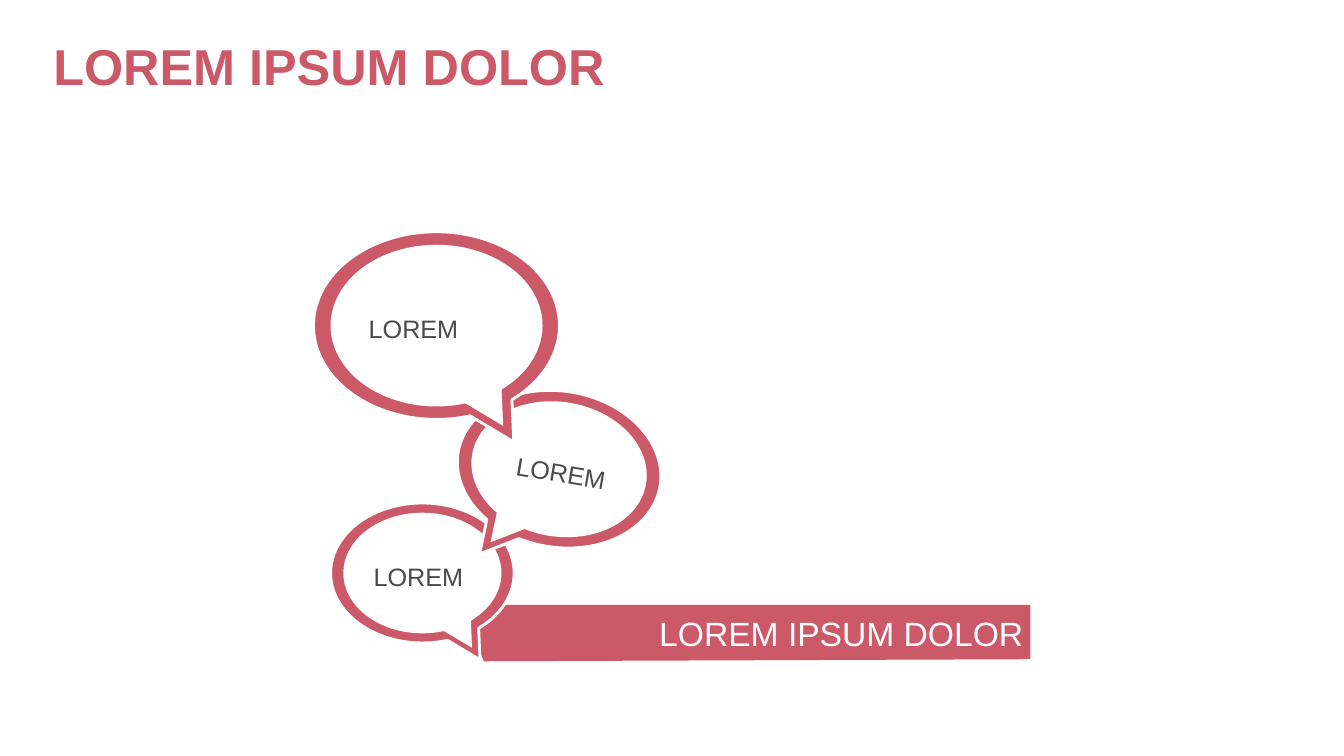
from dataclasses import dataclass

from pptx import Presentation
from pptx.dml.color import RGBColor
from pptx.enum.shapes import MSO_SHAPE
from pptx.enum.text import MSO_ANCHOR, PP_ALIGN
from pptx.util import Inches, Pt

CALLOUT = MSO_SHAPE.OVAL_CALLOUT
MIDDLE, BOTTOM = MSO_ANCHOR.MIDDLE, MSO_ANCHOR.BOTTOM
LEFT, RIGHT = PP_ALIGN.LEFT, PP_ALIGN.RIGHT
WIDTH, HEIGHT = Inches(13.33), Inches(7.5)


@dataclass(frozen=True)
class Theme:
    font: str = "Arial"
    rose: RGBColor = RGBColor(0xCC, 0x59, 0x68)
    white: RGBColor = RGBColor(0xFF, 0xFF, 0xFF)
    gray: RGBColor = RGBColor(0x4B, 0x4B, 0x4B)
    title: int = 36
    banner: int = 24
    label: int = 18
    rim: int = 2


THEME = Theme()
INSETS = (0.07, 0.04, 0.07, 0.04)
RATIO = 0.763  # bubble height to width
INNER = 0.862  # white bubble to coloured bubble
TAIL = (0.314, 0.62)


def col(share):
    """Turn a percentage of the slide width into a length."""
    return round(WIDTH * share / 100)


def row(share):
    """Turn a percentage of the slide height into a length."""
    return round(HEIGHT * share / 100)


def write(shape, text, size, color, bold=False, align=LEFT, anchor=MIDDLE,
          spacing=1.0, insets=INSETS):
    frame = shape.text_frame
    frame.word_wrap = True
    frame.vertical_anchor = anchor
    (frame.margin_left, frame.margin_top,
     frame.margin_right, frame.margin_bottom) = map(Inches, insets)
    para = frame.paragraphs[0]
    para.alignment = align
    para.line_spacing = spacing
    run = para.add_run()
    run.text = text
    font = run.font
    font.name, font.size, font.bold = THEME.font, Pt(size), bold
    font.color.rgb = color


def paint(shape, fill, line=None):
    shape.shadow.inherit = False
    shape.fill.solid()
    shape.fill.fore_color.rgb = fill
    if line is None:
        shape.line.fill.background()
    else:
        shape.line.color.rgb = line
        shape.line.width = Pt(THEME.rim)


def callout(shapes, x, y, width, side, turn):
    """Add one callout centred on x, y; side is 1 for a right tail, -1 for a left."""
    height = round(width * RATIO)
    shape = shapes.add_shape(CALLOUT, x - width // 2, y - height // 2,
                             width, height)
    shape.adjustments[0] = side * TAIL[0]
    shape.adjustments[1] = TAIL[1]
    shape.rotation = turn
    return shape


def bubble(slide, text, x, y, width, side=1, turn=0, insets=INSETS):
    group = slide.shapes.add_group_shape().shapes
    x, y, width = col(x), row(y), col(width)
    outer = callout(group, x, y, width, side, turn)
    paint(outer, THEME.rose, THEME.white)
    inner = callout(group, x, y, round(width * INNER), side, turn)
    paint(inner, THEME.white)
    write(inner, text, THEME.label, THEME.gray, spacing=1.2, insets=insets)


def banner(slide, text, points):
    start, *rest = [(col(x), row(y)) for x, y in points]
    form = slide.shapes.build_freeform(*start)
    form.add_line_segments(rest, close=True)
    shape = form.convert_to_shape()
    paint(shape, THEME.rose)
    write(shape, text, THEME.banner, THEME.white, align=RIGHT)


def title(slide, text):
    box = slide.shapes.add_textbox(col(3.23), row(3.73), col(63.3), row(9.73))
    write(box, text, THEME.title, THEME.rose, bold=True, anchor=BOTTOM,
          spacing=0.9, insets=(0.1, 0.05, 0.1, 0.05))


def main():
    deck = Presentation()
    deck.slide_width, deck.slide_height = WIDTH, HEIGHT
    slide = deck.slides.add_slide(deck.slide_layouts[6])
    banner(slide, "LOREM IPSUM DOLOR",
           [(76.67, 87.2), (36, 87.47), (34.36, 80), (76.67, 80)])
    bubble(slide, "LOREM", 31.43, 75.8, 13.65)
    bubble(slide, "LOREM", 41.6, 62.07, 15.23, side=-1, turn=9.6,
           insets=(0.2, 0.04, 0, 0.04))
    bubble(slide, "LOREM", 32.48, 43.07, 18.3)
    title(slide, "LOREM IPSUM DOLOR")
    deck.save("out.pptx")


if __name__ == "__main__":
    main()
